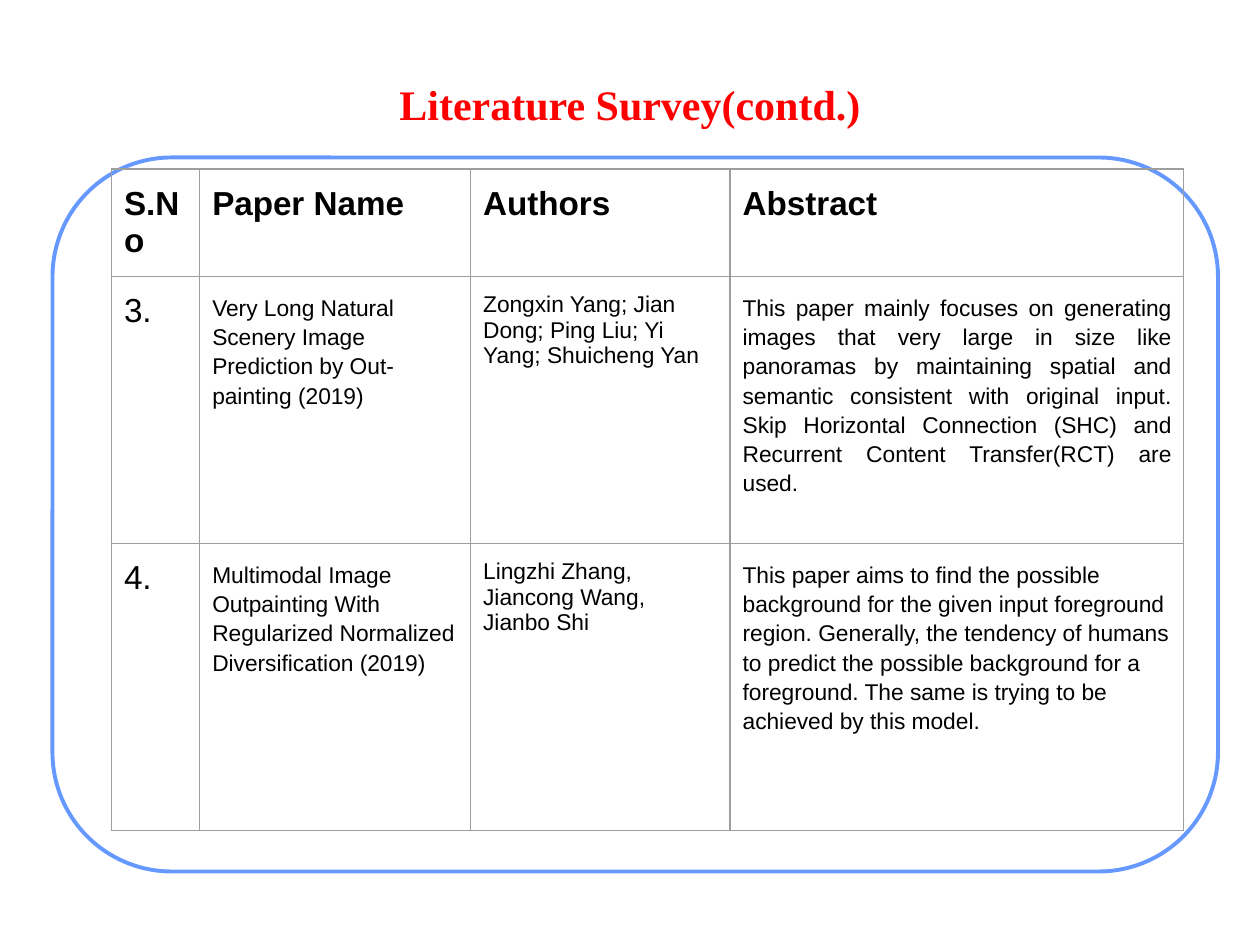
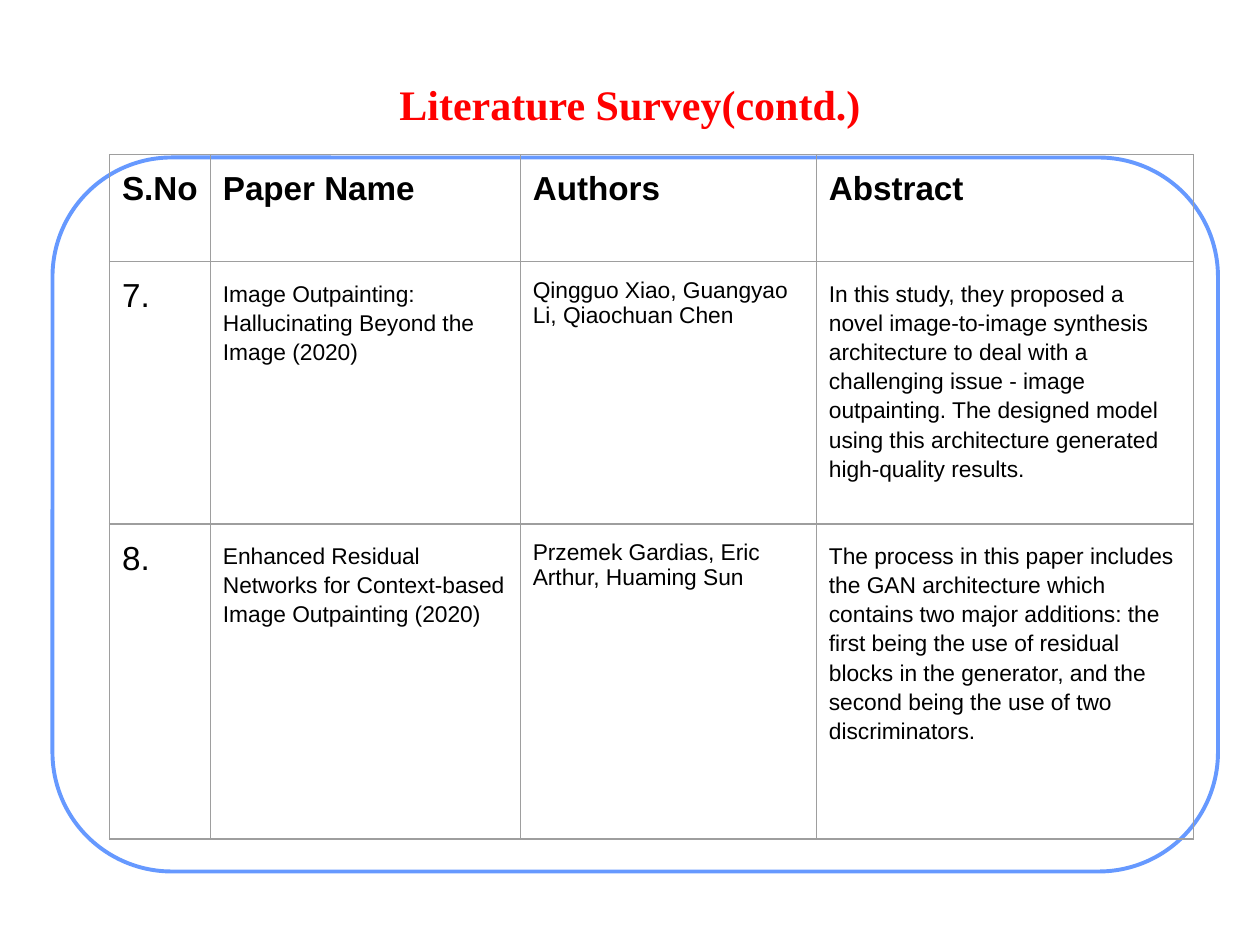
from dataclasses import dataclass

from lxml import etree
from pptx import Presentation
from pptx.dml.color import RGBColor
from pptx.enum.shapes import MSO_SHAPE
from pptx.enum.text import MSO_ANCHOR, PP_ALIGN
from pptx.oxml.ns import qn
from pptx.util import Pt

ROUNDED_RECTANGLE = MSO_SHAPE.ROUNDED_RECTANGLE
MIDDLE = MSO_ANCHOR.MIDDLE
LEFT, CENTER, JUSTIFY = PP_ALIGN.LEFT, PP_ALIGN.CENTER, PP_ALIGN.JUSTIFY
TITLE_ONLY = 5


@dataclass(frozen=True)
class Theme:
    title_font: str = "Times New Roman"
    body_font: str = "Arial"
    title_color: str = "FF0000"
    text_color: str = "000000"
    frame_fill: str = "FFFFFF"
    frame_line: str = "6699FF"
    grid_line: str = "9E9E9E"
    title_size: float = 24
    heading_size: float = 19
    body_size: float = 13
    loose_spacing: float = 1.15


THEME = Theme()
HEADINGS = ("S.No", "Paper Name", "Authors", "Abstract")
SURVEY_SLIDES = [
    {
        "position": (63.7, 96.6),
        "columns": (50.4, 154.8, 148.3, 259.2),
        "rows": (61.2, 152.6, 164.2),
        "justified_rows": (1,),
        "papers": [
            ("3.",
             "Very Long Natural Scenery Image Prediction by Out-painting (2019)",
             "Zongxin Yang; Jian Dong; Ping Liu; Yi Yang; Shuicheng Yan",
             "This paper mainly focuses on generating images that very large in size "
             "like panoramas by maintaining spatial and semantic consistent with "
             "original input. Skip Horizontal Connection (SHC) and Recurrent Content "
             "Transfer(RCT) are used."),
            ("4.",
             "Multimodal Image Outpainting With Regularized Normalized "
             "Diversification (2019)",
             "Lingzhi Zhang, Jiancong Wang, Jianbo Shi",
             "This paper aims to find the possible background for the given input "
             "foreground region. Generally, the tendency of humans to predict the "
             "possible background for a foreground. The same is trying to be "
             "achieved by this model."),
        ],
    },
    {
        "position": (62.6, 88.4),
        "columns": (57.6, 177.1, 169.2, 215.3),
        "rows": (61.2, 149.8, 180),
        "justified_rows": (),
        "papers": [
            ("7.",
             "Image Outpainting: Hallucinating Beyond the Image (2020)",
             "Qingguo Xiao, Guangyao Li, Qiaochuan Chen",
             "In this study, they proposed a novel image-to-image synthesis "
             "architecture to deal with a challenging issue - image outpainting. "
             "The designed model using this architecture generated high-quality "
             "results."),
            ("8.",
             "Enhanced Residual Networks for Context-based Image Outpainting (2020)",
             "Przemek Gardias, Eric Arthur, Huaming Sun",
             "The process in this paper includes the GAN architecture which contains "
             "two major additions: the first being the use of residual blocks in the "
             "generator, and the second being the use of two discriminators."),
        ],
    },
]


def format_paragraph(paragraph, font_name, size, color, bold, alignment):
    paragraph.alignment = alignment
    for run in paragraph.runs:
        run.font.name = font_name
        run.font.size = Pt(size)
        run.font.bold = bold
        run.font.color.rgb = RGBColor.from_string(color)


def set_title(slide, text):
    title = slide.shapes.title
    title.left, title.top, title.width, title.height = Pt(36), Pt(26.6), Pt(648), Pt(64.8)
    text_frame = title.text_frame
    text_frame.text = text
    text_frame.vertical_anchor = MIDDLE
    text_frame.margin_left = text_frame.margin_right = Pt(3.6)
    text_frame.margin_top = text_frame.margin_bottom = Pt(3.6)
    format_paragraph(text_frame.paragraphs[0], THEME.title_font, THEME.title_size,
                     THEME.title_color, True, CENTER)


def add_frame(slide):
    frame = slide.shapes.add_shape(ROUNDED_RECTANGLE, Pt(30), Pt(90), Pt(666), Pt(408))
    frame.adjustments[0] = 0.167
    frame.shadow.inherit = False
    frame.fill.solid()
    frame.fill.fore_color.rgb = RGBColor.from_string(THEME.frame_fill)
    frame.line.color.rgb = RGBColor.from_string(THEME.frame_line)
    frame.line.width = Pt(2.25)


def set_borders(cell):
    properties = cell._tc.get_or_add_tcPr()
    for side in ("a:lnL", "a:lnR", "a:lnT", "a:lnB"):
        line = etree.SubElement(properties, qn(side), w=str(Pt(0.75)))
        fill = etree.SubElement(line, qn("a:solidFill"))
        etree.SubElement(fill, qn("a:srgbClr"), val=THEME.grid_line)


def fill_cell(cell, text, size, bold=False, alignment=LEFT, spacing=1.0):
    set_borders(cell)
    cell.fill.background()
    cell.margin_left = cell.margin_right = Pt(7.2)
    cell.margin_top = cell.margin_bottom = Pt(9.2)
    cell.text_frame.text = text
    paragraph = cell.text_frame.paragraphs[0]
    paragraph.line_spacing = spacing
    format_paragraph(paragraph, THEME.body_font, size, THEME.text_color, bold, alignment)


def add_survey_table(slide, position, columns, rows, justified_rows, papers):
    left, top = position
    table = slide.shapes.add_table(len(rows), len(columns), Pt(left), Pt(top),
                                   Pt(sum(columns)), Pt(sum(rows))).table
    table.first_row = table.horz_banding = False
    for column, width in zip(table.columns, columns):
        column.width = Pt(width)
    for row, height in zip(table.rows, rows):
        row.height = Pt(height)

    for index, heading in enumerate(HEADINGS):
        fill_cell(table.cell(0, index), heading, THEME.heading_size, bold=True)
    for index, (number, name, authors, abstract) in enumerate(papers, start=1):
        alignment = JUSTIFY if index in justified_rows else LEFT
        fill_cell(table.cell(index, 0), number, THEME.heading_size)
        fill_cell(table.cell(index, 1), name, THEME.body_size,
                  spacing=THEME.loose_spacing)
        fill_cell(table.cell(index, 2), authors, THEME.body_size)
        fill_cell(table.cell(index, 3), abstract, THEME.body_size,
                  alignment=alignment, spacing=THEME.loose_spacing)


def main():
    presentation = Presentation()
    presentation.slide_width, presentation.slide_height = Pt(720), Pt(540)
    for survey in SURVEY_SLIDES:
        slide = presentation.slides.add_slide(presentation.slide_layouts[TITLE_ONLY])
        set_title(slide, "Literature Survey(contd.)")
        add_frame(slide)
        add_survey_table(slide, **survey)
    presentation.save("out.pptx")


if __name__ == "__main__":
    main()
